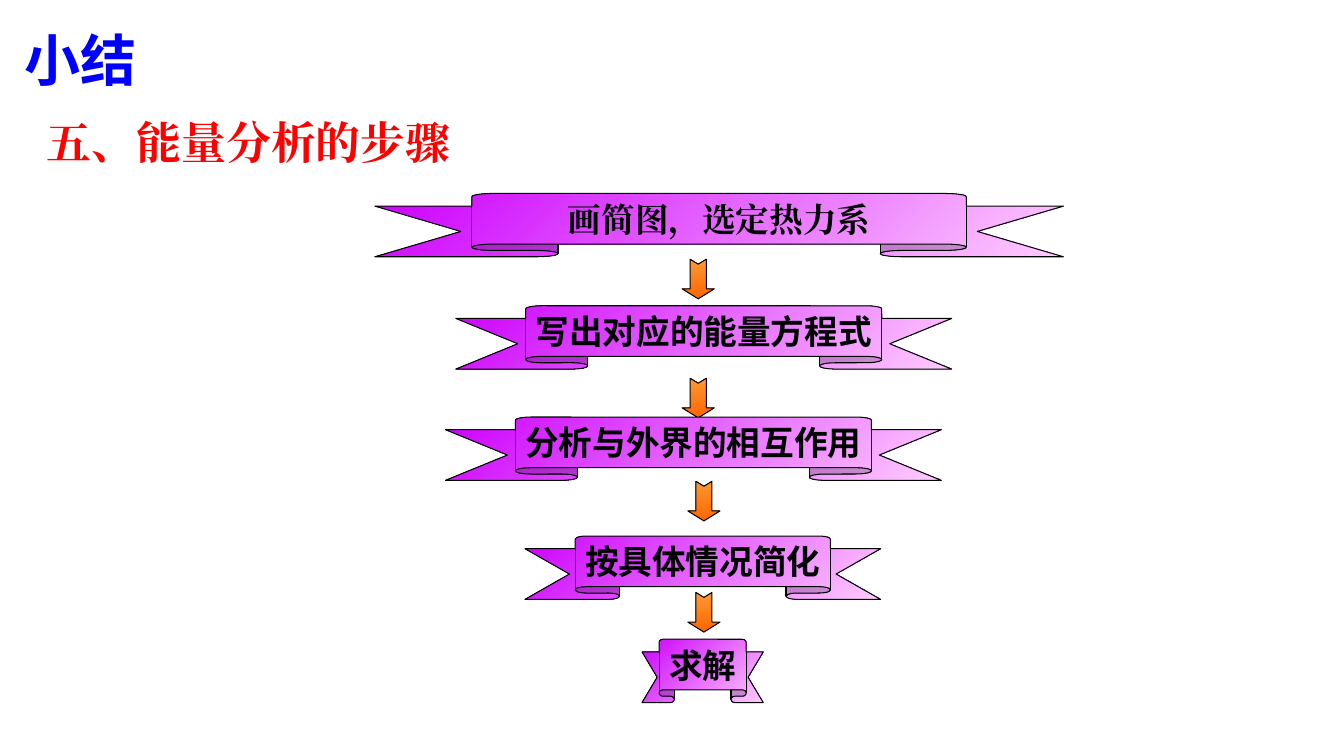
from pptx import Presentation
from pptx.dml.color import RGBColor
from pptx.enum.shapes import MSO_SHAPE as SHAPE
from pptx.enum.text import MSO_ANCHOR as ANCHOR, MSO_AUTO_SIZE as AUTO, PP_ALIGN as ALIGN
from pptx.oxml.ns import qn
from pptx.util import Pt

SANS, SERIF = "Noto Sans CJK SC", "Times New Roman"


def write(sp, text, size, color, font, align):
    """Put one bold line in a shape, using the font for Latin and Chinese."""
    tf = sp.text_frame
    tf.text = text
    tf.auto_size = AUTO.NONE
    p = tf.paragraphs[0]
    p.alignment = align
    r = p.runs[0]
    r.font.size = Pt(size)
    r.font.bold = True
    r.font.name = font
    r.font.color.rgb = RGBColor.from_string(color)
    ea = r.font._element.makeelement(qn("a:ea"), {"typeface": font})
    r.font._element.find(qn("a:latin")).addnext(ea)
    return tf


def add_gradient_shape(kind, left, top, width, height, adjustments, colors, angle):
    sp = s.shapes.add_shape(kind, Pt(left), Pt(top), Pt(width), Pt(height))
    sp.shadow.inherit = False
    for i, value in enumerate(adjustments):
        sp.adjustments[i] = value
    sp.fill.gradient()
    sp.fill.gradient_angle = angle
    for stop, color, position in zip(sp.fill.gradient_stops, colors, (0, 1)):
        stop.color.rgb = RGBColor.from_string(color)
        stop.position = position
    sp.line.color.rgb = RGBColor.from_string("000000")
    sp.line.width = Pt(0.75)
    return sp


prs = Presentation()
prs.slide_width, prs.slide_height = Pt(960), Pt(540)
s = prs.slides.add_slide(prs.slide_layouts[5])

title = s.shapes.title
title.left, title.top, title.width, title.height = Pt(0), Pt(15), Pt(234), Pt(55)
tf = write(title, "小结", 40, "0000FF", SANS, ALIGN.LEFT)
tf.vertical_anchor = ANCHOR.MIDDLE
tf.margin_left = Pt(17.5)

heading = s.shapes.add_textbox(Pt(26.5), Pt(82.8), Pt(405), Pt(42))
tf = write(heading, "五、能量分析的步骤", 32, "FF0000", SERIF, ALIGN.LEFT)
tf.word_wrap = True
tf.paragraphs[0].line_spacing = 0.9

# Arrows: centre x, top
ARROW_LENGTH, ARROW_WIDTH = 28.3, 23
for center, top in [(498.7, 185.2), (498.7, 270.2), (502.8, 343.8), (502.8, 423.2)]:
    arrow = add_gradient_shape(
        SHAPE.NOTCHED_RIGHT_ARROW,
        center - ARROW_LENGTH / 2, top + (ARROW_LENGTH - ARROW_WIDTH) / 2,
        ARROW_LENGTH, ARROW_WIDTH, (0.5, 0.31), ("FF6600", "FF9933"), 180)
    arrow.rotation = 90

# Ribbons: text, left, top, width, font
steps = [
    ("画简图，选定热力系", 267.8, 138.2, 491.8, SERIF),
    ("写出对应的能量方程式", 325.6, 218.4, 354.2, SANS),
    ("分析与外界的相互作用", 318.2, 297.9, 354.2, SANS),
    ("按具体情况简化", 375, 382.9, 254, SANS),
    ("求解", 458.6, 456.6, 86.6, SANS),
]
for text, left, top, width, font in steps:
    ribbon = add_gradient_shape(SHAPE.UP_RIBBON, left, top, width, 45.2,
                                (0.2, 0.718), ("CC00FF", "FFCCFF"), 315)
    tf = write(ribbon, text, 24, "000000", font, ALIGN.CENTER)
    tf.word_wrap = False
    tf.vertical_anchor = ANCHOR.MIDDLE

prs.save("out.pptx")
